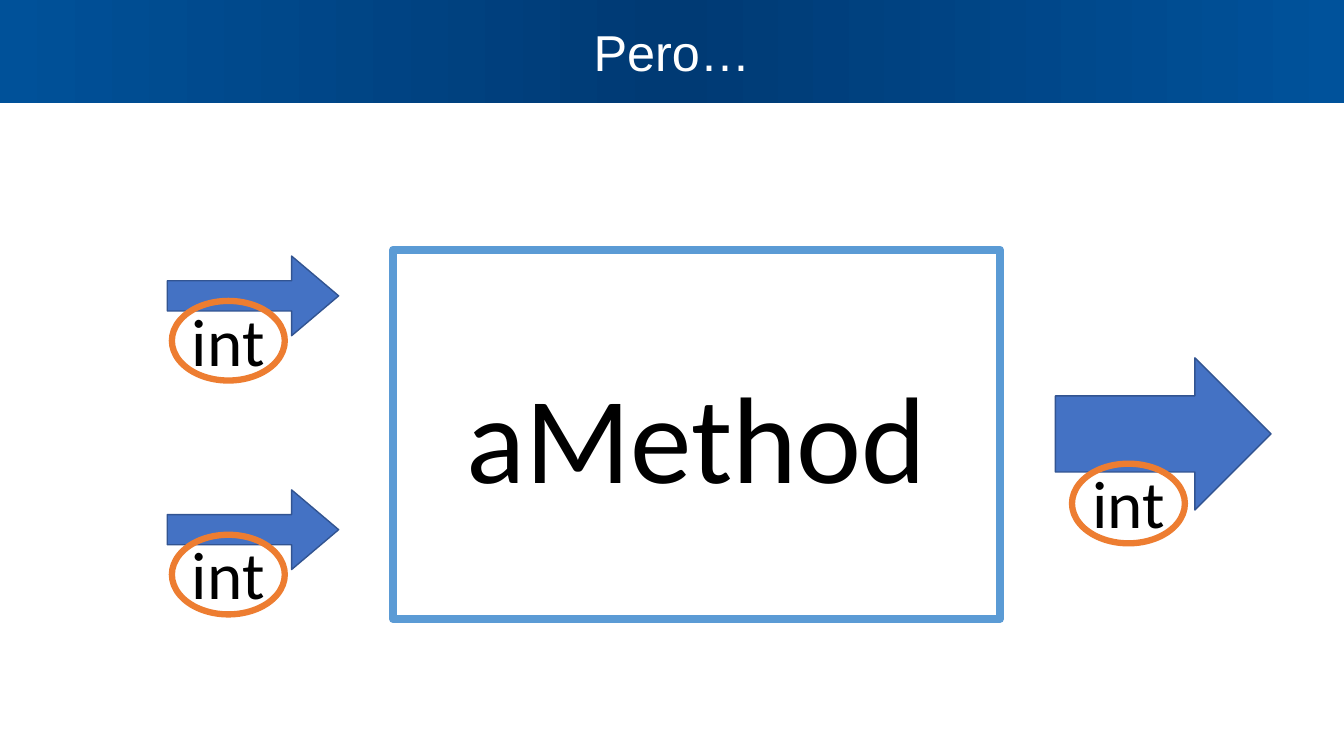
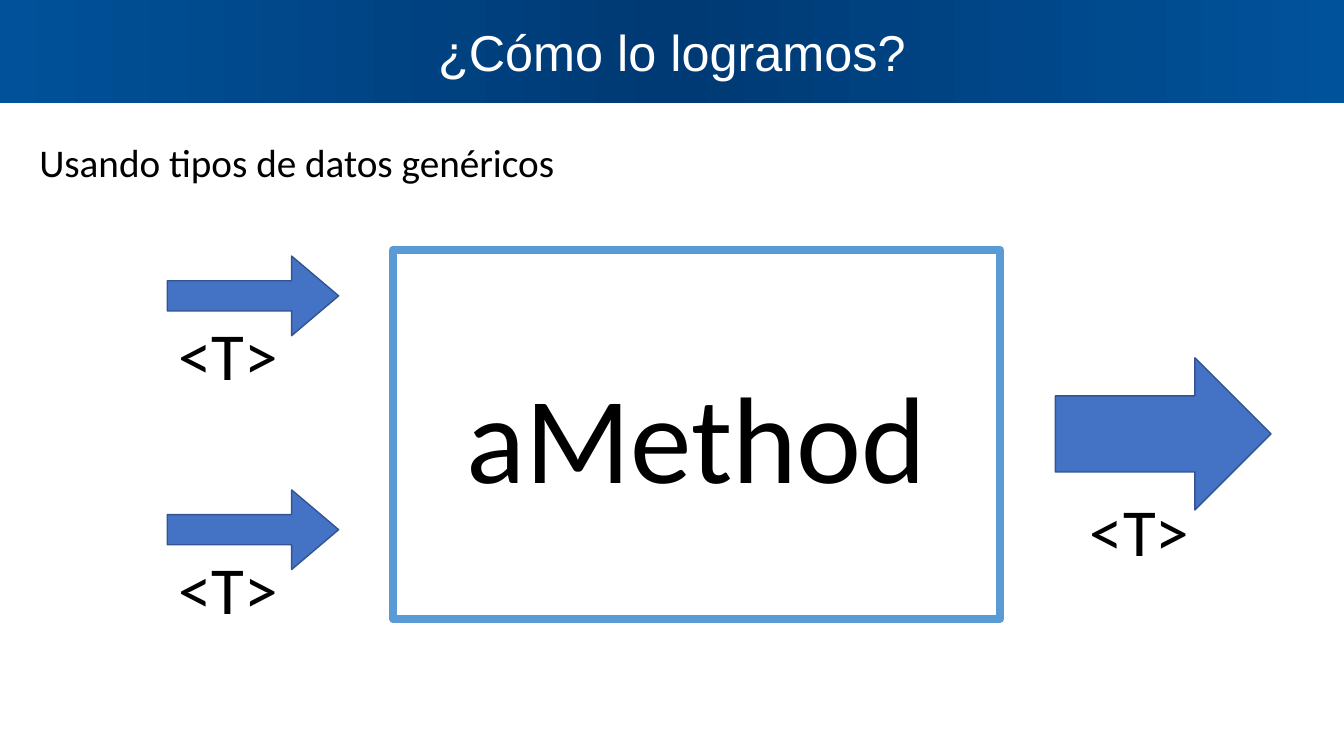
import copy
from dataclasses import dataclass
from typing import Optional

import pptx
import pptx.dml.color
import pptx.enum.shapes
import pptx.enum.text
import pptx.oxml.ns
import pptx.util

RGB = pptx.dml.color.RGBColor
KIND = pptx.enum.shapes.MSO_SHAPE
ALIGN = pptx.enum.text.PP_ALIGN
ANCHOR = pptx.enum.text.MSO_ANCHOR

WHITE = RGB(0xFF, 0xFF, 0xFF)
BLACK = RGB(0x00, 0x00, 0x00)
FADE = (RGB(0x00, 0x52, 0x9B), RGB(0x00, 0x3A, 0x74), RGB(0x00, 0x51, 0x99))
SKY = RGB(0x5B, 0x9B, 0xD5)
BLUE = RGB(0x44, 0x72, 0xC4)
EDGE = RGB(0x32, 0x54, 0x91)
ORANGE = RGB(0xED, 0x7D, 0x31)

COLS, ROWS = 160, 90
WIDTH, HEIGHT = pptx.util.Inches(13.333), pptx.util.Inches(7.5)


@dataclass(frozen=True)
class Area:
    col: float
    row: float
    wide: float
    high: float

    def place(self) -> tuple[int, int, int, int]:
        return (round(self.col * WIDTH / COLS), round(self.row * HEIGHT / ROWS),
                round(self.wide * WIDTH / COLS), round(self.high * HEIGHT / ROWS))


@dataclass(frozen=True)
class Style:
    size: float
    font: str = "Calibri"
    color: RGB = BLACK
    align: ALIGN = ALIGN.CENTER
    lead: Optional[float] = None


@dataclass(frozen=True)
class Arrow:
    area: Area
    result: bool = False


@dataclass(frozen=True)
class Label:
    text: str
    wide: float
    enter: tuple[float, float]
    leave: tuple[float, float]
    ring: bool = False


@dataclass(frozen=True)
class Page:
    title: str
    label: Label
    note: str = ""


TITLE = Style(36, "Arial", WHITE)
METHOD = Style(88)
TYPE = Style(48)
NOTE = Style(28, align=ALIGN.LEFT, lead=1.5)

BAND = Area(0, 0, COLS, 12.25)
BOX = Area(46.8, 29.76, 72.24, 43.92)
LEAD = Area(4.68, 13.68, 150.6, 7.56)
TALL = 9.72
RING = (13.44, 9.48)
ARROWS = (Arrow(Area(125.64, 42.6, 25.68, 18.12), True),
          *(Arrow(Area(19.92, row, 20.4, 9.48)) for row in (58.32, 30.48)))

PAGES = (
    Page("Pero…", Label("int", 11.16, (7.26, 5.1), (8.7, 12.36), True)),
    Page("¿Cómo lo logramos?", Label("<T>", 20.04, (7.26, 6.84), (10.02, 15.6)),
         "Usando tipos de datos genéricos"),
)


def write(frame, text: str, style: Style) -> None:
    frame.word_wrap = True
    para = frame.paragraphs[0]
    para.alignment = style.align
    if style.lead:
        para.line_spacing = style.lead
    run = para.add_run()
    run.text = text
    run.font.size = pptx.util.Pt(style.size)
    run.font.name = style.font
    run.font.color.rgb = style.color


def draw(slide, kind: KIND, area: Area, fill: Optional[RGB] = None,
         line: Optional[RGB] = None, weight: float = 1):
    shape = slide.shapes.add_shape(kind, *area.place())
    shape.shadow.inherit = False
    if fill is None:
        shape.fill.background()
    else:
        shape.fill.solid()
        shape.fill.fore_color.rgb = fill
    if line is None:
        shape.line.fill.background()
    else:
        shape.line.color.rgb = line
        shape.line.width = pptx.util.Pt(weight)
    return shape


def panel(shape, text: str, style: Style) -> None:
    shape.text_frame.vertical_anchor = ANCHOR.MIDDLE
    write(shape.text_frame, text, style)


def caption(slide, area: Area, text: str, style: Style) -> None:
    frame = slide.shapes.add_textbox(*area.place()).text_frame
    frame.margin_left = frame.margin_right = 0
    frame.margin_top = frame.margin_bottom = 0
    write(frame, text, style)
    frame.auto_size = pptx.enum.text.MSO_AUTO_SIZE.SHAPE_TO_FIT_TEXT


def banner(slide, title: str) -> None:
    band = draw(slide, KIND.RECTANGLE, BAND)
    band.fill.gradient()
    band.fill.gradient_angle = 180
    stops = next(band.element.iter(pptx.oxml.ns.qn("a:gsLst")))
    stops.insert(1, copy.deepcopy(stops[0]))
    for index, (stop, color) in enumerate(zip(band.fill.gradient_stops, FADE)):
        stop.position = index / (len(FADE) - 1)
        stop.color.rgb = color
    panel(band, title, TITLE)


def flow(slide, arrow: Arrow, label: Label) -> None:
    shape = draw(slide, KIND.RIGHT_ARROW, arrow.area, BLUE, EDGE)
    if not arrow.result:
        shape.adjustments[0], shape.adjustments[1] = 0.38, 0.59
    right, down = label.leave if arrow.result else label.enter
    mid, top = arrow.area.col + right, arrow.area.row + down
    caption(slide, Area(mid - label.wide / 2, top, label.wide, TALL),
            label.text, TYPE)
    if label.ring:
        wide, high = RING
        spot = Area(mid - wide / 2, top + (TALL - high), wide, high)
        draw(slide, KIND.OVAL, spot, line=ORANGE, weight=4.5)


def build(deck, page: Page) -> None:
    slide = deck.slides.add_slide(deck.slide_layouts[6])
    banner(slide, page.title)
    panel(draw(slide, KIND.RECTANGLE, BOX, WHITE, SKY, 6), "aMethod", METHOD)
    for arrow in ARROWS:
        flow(slide, arrow, page.label)
    if page.note:
        caption(slide, LEAD, page.note, NOTE)


def main() -> None:
    deck = pptx.Presentation()
    deck.slide_width, deck.slide_height = WIDTH, HEIGHT
    for page in PAGES:
        build(deck, page)
    deck.save("out.pptx")


if __name__ == "__main__":
    main()
